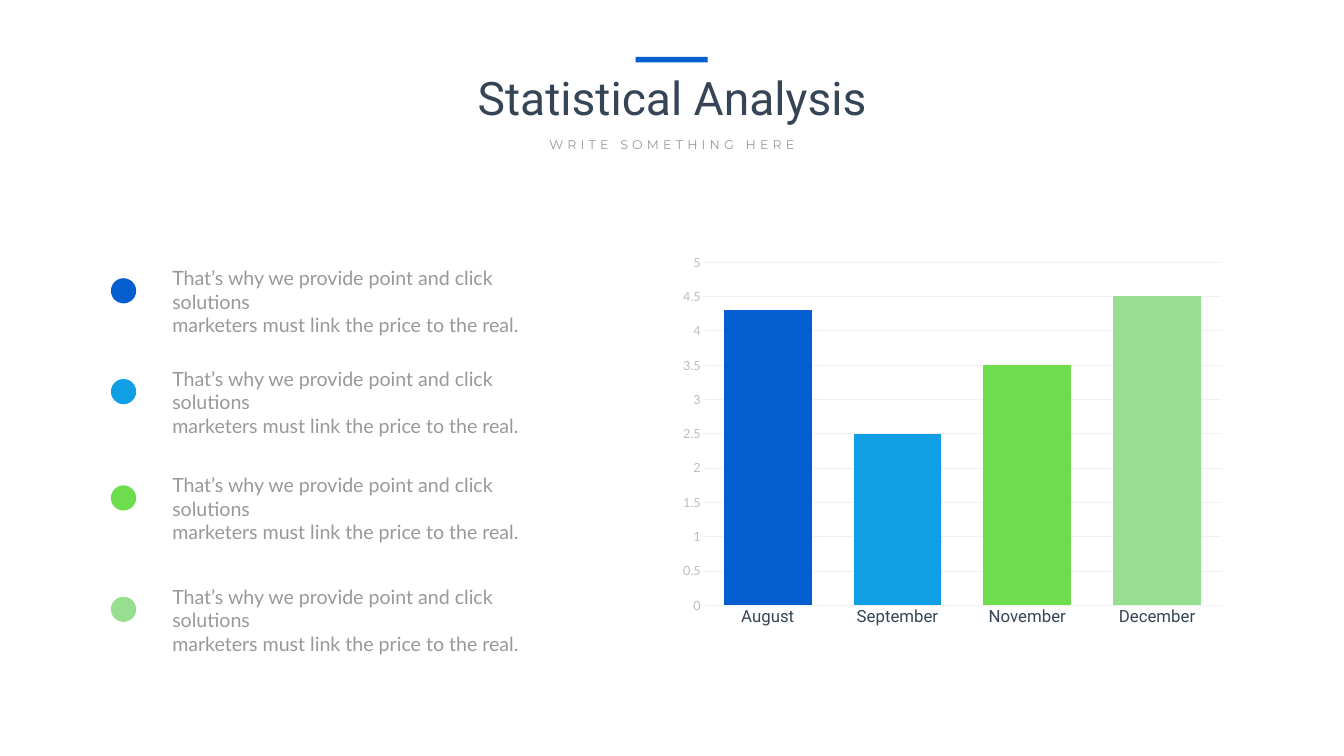
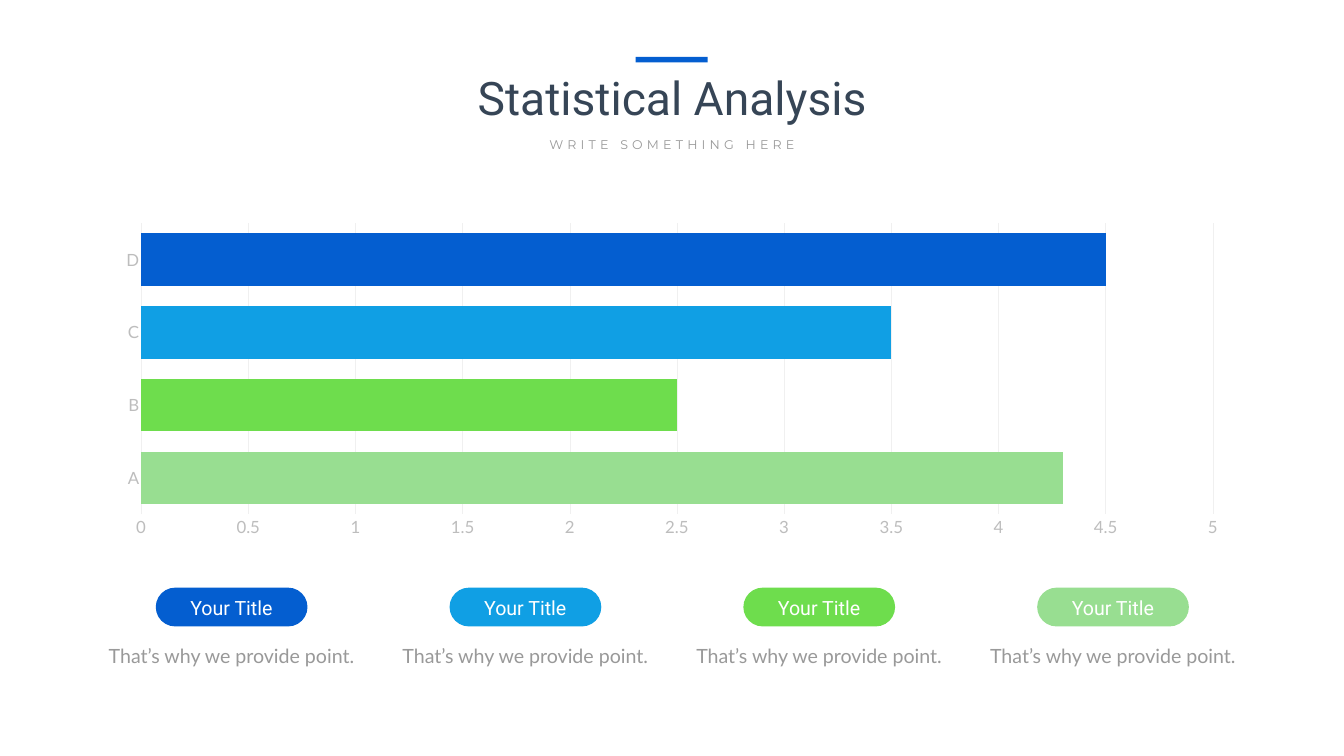
from lxml import etree
from pptx import Presentation
from pptx.chart.data import CategoryChartData
from pptx.dml.color import RGBColor
from pptx.enum.chart import XL_CHART_TYPE as ChartType, XL_TICK_MARK as TickMark
from pptx.enum.shapes import MSO_SHAPE as Shape
from pptx.enum.text import MSO_AUTO_SIZE as AutoSize, PP_ALIGN as Align
from pptx.oxml.ns import qn
from pptx.util import Inches, Pt

BLUE = RGBColor(0x04, 0x5E, 0xD0)
SKY = RGBColor(0x10, 0x9F, 0xE4)
GREEN = RGBColor(0x6E, 0xDD, 0x4D)
MINT = RGBColor(0x98, 0xDE, 0x91)
NAVY = RGBColor(0x36, 0x45, 0x56)
GRAY = RGBColor(0x99, 0x99, 0x99)
SILVER = RGBColor(0xBD, 0xBD, 0xBD)
PALE = RGBColor(0xF0, 0xF0, 0xF0)
WHITE = RGBColor(0xFF, 0xFF, 0xFF)
PALETTE = [BLUE, SKY, GREEN, MINT]

deck = Presentation()
deck.slide_width, deck.slide_height = Inches(26.66), Inches(15)
COL, ROW = deck.slide_width / 100, deck.slide_height / 100


def cells(left, top, width, height):
    return round(left * COL), round(top * ROW), round(width * COL), round(height * ROW)


def write(shapes, box, text, size=28, font="Lato", color=GRAY, align=None,
          line=None, tracking=None):
    frame = shapes.add_textbox(*cells(*box)).text_frame
    frame.word_wrap = True
    frame.auto_size = AutoSize.SHAPE_TO_FIT_TEXT
    frame.text = text
    for paragraph in frame.paragraphs:
        paragraph.alignment = align
        paragraph.line_spacing = line
        for run in paragraph.runs:
            run.font.size = Pt(size)
            run.font.name = font
            run.font.color.rgb = color
            if tracking:
                run.font._element.set("spc", str(tracking * 100))


CHARTS = [
    dict(kind=ChartType.COLUMN_CLUSTERED, months=["August", "September", "November", "December"],
         frame=(50, 32.53, 41.75, 51.4), plot=(52.29, 34.67, 38.63, 45.4),
         gap=48, overlap=-27, size=18, colors=PALETTE, category_style=("Roboto", NAVY)),
    dict(kind=ChartType.BAR_CLUSTERED, months=["A", "B", "C", "D"],
         frame=(7.73, 28.6, 84.55, 43.2), plot=(10.5, 29.53, 79.74, 38.5),
         gap=39, overlap=0, size=24, colors=PALETTE[::-1], category_style=("Lato", SILVER)),
]

slides = []
for design in CHARTS:
    slide = deck.slides.add_slide(deck.slide_layouts[6])
    slides.append(slide)

    header = slide.shapes.add_group_shape().shapes
    write(header, (29.03, 8.8, 41.97, 8.07), "Statistical Analysis",
          size=66, font="Roboto", color=NAVY, align=Align.CENTER)
    write(header, (38.82, 17.73, 22.36, 2.67), "WRITE SOMETHING HERE",
          size=18, font="Montserrat", align=Align.CENTER, tracking=6)
    accent = header.add_shape(Shape.RECTANGLE, *cells(47.3, 7.53, 5.36, 0.73))
    accent.shadow.inherit = False
    accent.fill.solid()
    accent.fill.fore_color.rgb = BLUE
    accent.line.fill.background()

    figures = CategoryChartData()
    figures.categories = design["months"]
    figures.add_series("Series 1", [4.3, 2.5, 3.5, 4.5])
    chart = slide.shapes.add_chart(design["kind"], *cells(*design["frame"]), figures).chart
    chart.has_legend = False
    chart.has_title = False
    chart.font.name = "Lato"
    chart.font.size = Pt(design["size"])
    chart.font.color.rgb = GRAY

    bars = chart.plots[0]
    bars.vary_by_categories = False
    bars.gap_width = design["gap"]
    bars.overlap = design["overlap"]
    series = bars.series[0]
    series.format.fill.solid()
    series.format.fill.fore_color.rgb = BLUE
    for index, color in enumerate(design["colors"]):
        fill = series.points[index].format.fill
        fill.solid()
        fill.fore_color.rgb = color

    months, scale = chart.category_axis, chart.value_axis
    scale.minimum_scale, scale.maximum_scale, scale.major_unit = 0, 5, 0.5
    for axis, font, color, size in [(months, *design["category_style"], 24),
                                    (scale, "Lato", SILVER, design["size"])]:
        axis.major_tick_mark = axis.minor_tick_mark = TickMark.NONE
        axis.tick_labels.font.name = font
        axis.tick_labels.font.size = Pt(size)
        axis.tick_labels.font.color.rgb = color
    scale.format.line.fill.background()
    months.has_major_gridlines = False
    for rule in (months.format.line, scale.major_gridlines.format.line):
        rule.color.rgb = PALE
        rule.width = Pt(0.75)

    area = chart._chartSpace.chart.plotArea
    for old in area.findall(qn("c:layout")):
        area.remove(old)
    layout = etree.Element(qn("c:layout"))
    area.insert(0, layout)
    manual = etree.SubElement(layout, qn("c:manualLayout"))
    frame, plot = design["frame"], design["plot"]
    for tag, value in [("layoutTarget", "inner"), ("xMode", "edge"), ("yMode", "edge"),
                       ("x", (plot[0] - frame[0]) / frame[2]),
                       ("y", (plot[1] - frame[1]) / frame[3]),
                       ("w", plot[2] / frame[2]), ("h", plot[3] / frame[3])]:
        etree.SubElement(manual, qn(f"c:{tag}")).set("val", str(value))

monthly, ranking = [slide.shapes for slide in slides]

for top, color in zip([34.87, 48.2, 62.27, 77], PALETTE):
    write(monthly, (12.45, top, 30.72, 6.93),
          "That’s why we provide point and click solutions\n"
          "marketers must link the price to the real.")
    dot = monthly.add_shape(Shape.OVAL, *cells(8.25, top + 1.93, 1.88, 3.33))
    dot.shadow.inherit = False
    dot.fill.solid()
    dot.fill.fore_color.rgb = color
    dot.line.fill.background()

for index, color in enumerate(PALETTE):
    left = 11.59 + index * 21.86
    pill = ranking.add_shape(Shape.ROUNDED_RECTANGLE, *cells(left, 77.73, 11.29, 5.13))
    pill.adjustments[0] = 0.5
    pill.shadow.inherit = False
    pill.fill.solid()
    pill.fill.fore_color.rgb = color
    pill.line.fill.background()
    write(ranking, (left + 0.79, 78.53, 9.68, 3.8), "Your Title",
          font="Roboto", color=WHITE, align=Align.CENTER)
    write(ranking, (left - 4.8, 83.93, 20.86, 4.27), "That’s why we provide point.",
          align=Align.CENTER, line=Pt(43))

deck.save("out.pptx")
